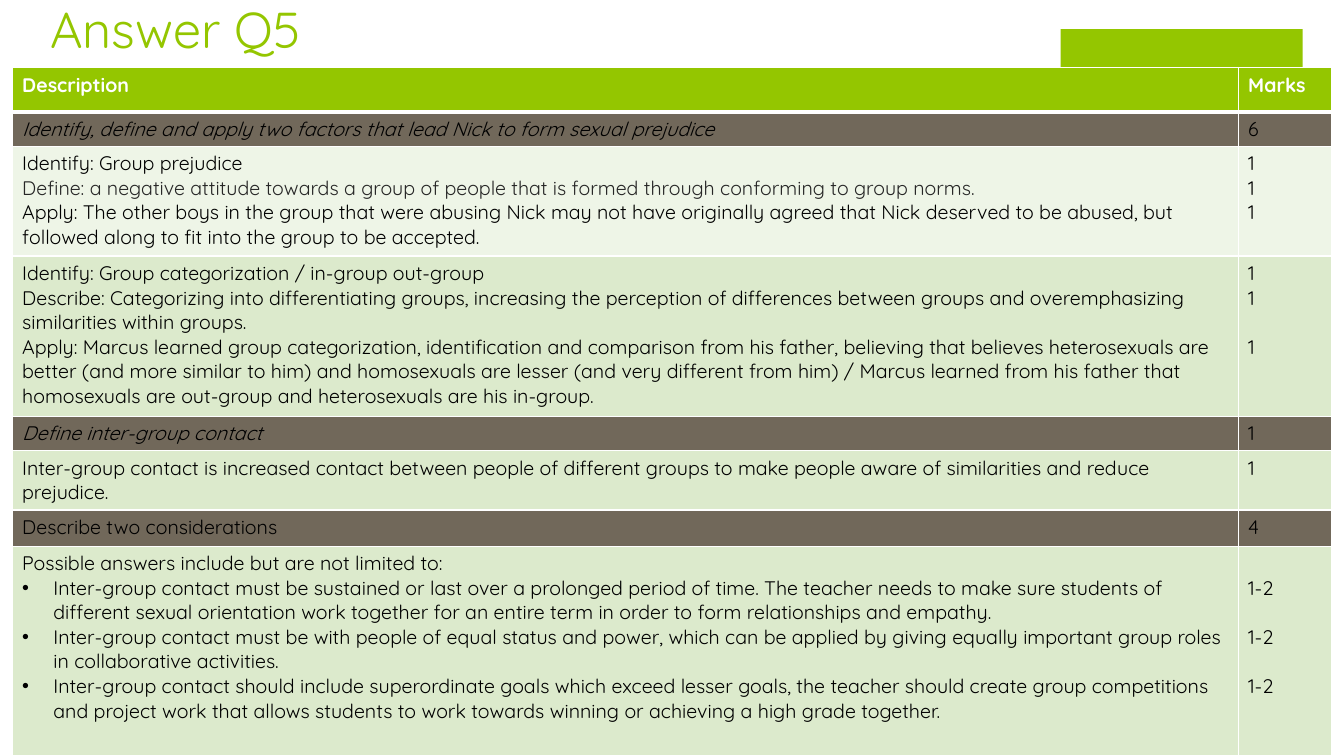
from dataclasses import dataclass

from lxml import etree
from pptx import Presentation
from pptx.dml.color import RGBColor
from pptx.enum.shapes import MSO_SHAPE as SHAPE
from pptx.enum.text import MSO_ANCHOR as ANCHOR
from pptx.oxml.ns import qn
from pptx.util import Inches, Pt

FONT = "Quicksand"
GREEN = RGBColor(0x94, 0xC6, 0x00)
BROWN = RGBColor(0x71, 0x68, 0x5A)
PALE = RGBColor(0xEE, 0xF5, 0xE7)
LIGHT = RGBColor(0xDC, 0xEA, 0xCC)
WHITE = RGBColor(0xFF, 0xFF, 0xFF)
BLACK = RGBColor(0x00, 0x00, 0x00)
CHARCOAL = RGBColor(0x26, 0x26, 0x26)

TEXT_SIZE = 14
LINE_PITCH = 17.5  # points from one line of text to the next
COLUMN_WIDTHS = (12.16, 0.93)


@dataclass(frozen=True)
class Line:
    text: str
    color: RGBColor = BLACK
    bold: bool = False
    italic: bool = False
    bullet: bool = False
    skip: int = 0  # lines left free above


@dataclass(frozen=True)
class Row:
    height: float
    fill: RGBColor
    description: list[Line]
    marks: list[Line]


ROWS = [
    Row(0.44, GREEN, [Line("Description", WHITE, bold=True)],
        [Line("Marks", WHITE, bold=True)]),
    Row(0.34, BROWN,
        [Line("Identify, define and apply two factors that lead Nick to form "
              "sexual prejudice", italic=True)],
        [Line("6")]),
    Row(1.09, PALE,
        [Line("Identify: Group prejudice"),
         Line("Define: a negative attitude towards a group of people that is "
              "formed through conforming to group norms.", CHARCOAL),
         Line("Apply: The other boys in the group that were abusing Nick may "
              "not have originally agreed that Nick deserved to be abused, "
              "but followed along to fit into the group to be accepted.")],
        [Line("1"), Line("1"), Line("1")]),
    Row(1.59, LIGHT,
        [Line("Identify: Group categorization / in-group out-group"),
         Line("Describe: Categorizing into differentiating groups, increasing "
              "the perception of differences between groups and "
              "overemphasizing similarities within groups."),
         Line("Apply: Marcus learned group categorization, identification and "
              "comparison from his father, believing that believes "
              "heterosexuals are better (and more similar to him) and "
              "homosexuals are lesser (and very different from him) / Marcus "
              "learned from his father that homosexuals are out-group and "
              "heterosexuals are his in-group.")],
        [Line("1"), Line("1"), Line("1", skip=1)]),
    Row(0.34, BROWN, [Line("Define inter-group contact", italic=True)],
        [Line("1")]),
    Row(0.59, LIGHT,
        [Line("Inter-group contact is increased contact between people of "
              "different groups to make people aware of similarities and "
              "reduce prejudice.")],
        [Line("1")]),
    Row(0.36, BROWN, [Line("Describe two considerations")], [Line("4")]),
    Row(2.08, LIGHT,
        [Line("Possible answers include but are not limited to:"),
         Line("Inter-group contact must be sustained or last over a prolonged "
              "period of time. The teacher needs to make sure students of "
              "different sexual orientation work together for an entire term "
              "in order to form relationships and empathy.", bullet=True),
         Line("Inter-group contact must be with people of equal status and "
              "power, which can be applied by giving equally important group "
              "roles in collaborative activities.", bullet=True),
         Line("Inter-group contact should include superordinate goals which "
              "exceed lesser goals, the teacher should create group "
              "competitions and project work that allows students to work "
              "towards winning or achieving a high grade together.",
              bullet=True)],
        [Line("1-2", skip=1)] * 3),
]


def style_runs(p, size: float, line: Line) -> None:
    for r in p.runs:
        r.font.name = FONT
        r.font.size = Pt(size)
        r.font.bold = line.bold
        r.font.italic = line.italic
        r.font.color.rgb = line.color


def add_bullet(p) -> None:
    pPr = p._p.get_or_add_pPr()
    pPr.set("marL", str(Inches(0.31)))
    pPr.set("indent", str(-Inches(0.31)))
    etree.SubElement(pPr, qn("a:buFont")).set("typeface", "Arial")
    etree.SubElement(pPr, qn("a:buChar")).set("char", "•")


def set_borders(cell, bottom_width: float) -> None:
    tcPr = cell._tc.get_or_add_tcPr()
    widths = {"a:lnL": 1, "a:lnR": 1, "a:lnT": 1, "a:lnB": bottom_width}
    for i, (tag, width) in enumerate(widths.items()):
        ln = etree.Element(qn(tag), w=str(Pt(width)))
        fill = etree.SubElement(ln, qn("a:solidFill"))
        etree.SubElement(fill, qn("a:srgbClr")).set("val", str(WHITE))
        tcPr.insert(i, ln)


def fill_cell(cell, lines: list[Line], color: RGBColor) -> None:
    cell.fill.solid()
    cell.fill.fore_color.rgb = color
    set_borders(cell, 3 if color == GREEN else 1)
    cell.margin_top = Inches(0.05) + Pt(LINE_PITCH * lines[0].skip)
    tf = cell.text_frame
    for i, line in enumerate(lines):
        p = tf.add_paragraph() if i else tf.paragraphs[0]
        p.text = line.text
        if i and line.skip:
            p.space_before = Pt(LINE_PITCH * line.skip)
        if line.bullet:
            add_bullet(p)
        style_runs(p, TEXT_SIZE, line)


def add_title(slide, text: str) -> None:
    box = slide.shapes.add_textbox(Inches(0.4), Inches(-0.62),
                                   Inches(9.49), Inches(1.25))
    tf = box.text_frame
    tf.word_wrap = True
    tf.vertical_anchor = ANCHOR.BOTTOM
    tf.text = text
    style_runs(tf.paragraphs[0], 36, Line(text, GREEN))


def add_accent(slide) -> None:
    sp = slide.shapes.add_shape(SHAPE.RECTANGLE, Inches(10.52), Inches(0.29),
                                Inches(2.4), Inches(1.8))
    sp.shadow.inherit = False
    sp.fill.solid()
    sp.fill.fore_color.rgb = GREEN
    sp.line.fill.background()


def add_marking_table(slide) -> None:
    table = slide.shapes.add_table(
        len(ROWS), len(COLUMN_WIDTHS), Inches(0.12), Inches(0.67),
        Inches(sum(COLUMN_WIDTHS)), Inches(sum(row.height for row in ROWS)),
    ).table
    table.horz_banding = False
    for column, width in zip(table.columns, COLUMN_WIDTHS):
        column.width = Inches(width)
    for i, row in enumerate(ROWS):
        table.rows[i].height = Inches(row.height)
        fill_cell(table.cell(i, 0), row.description, row.fill)
        fill_cell(table.cell(i, 1), row.marks, row.fill)


def main() -> None:
    prs = Presentation()
    prs.slide_width, prs.slide_height = Inches(13.33), Inches(7.5)
    slide = prs.slides.add_slide(prs.slide_layouts[6])
    add_accent(slide)
    add_title(slide, "Answer Q5")
    add_marking_table(slide)
    prs.save("out.pptx")


if __name__ == "__main__":
    main()
